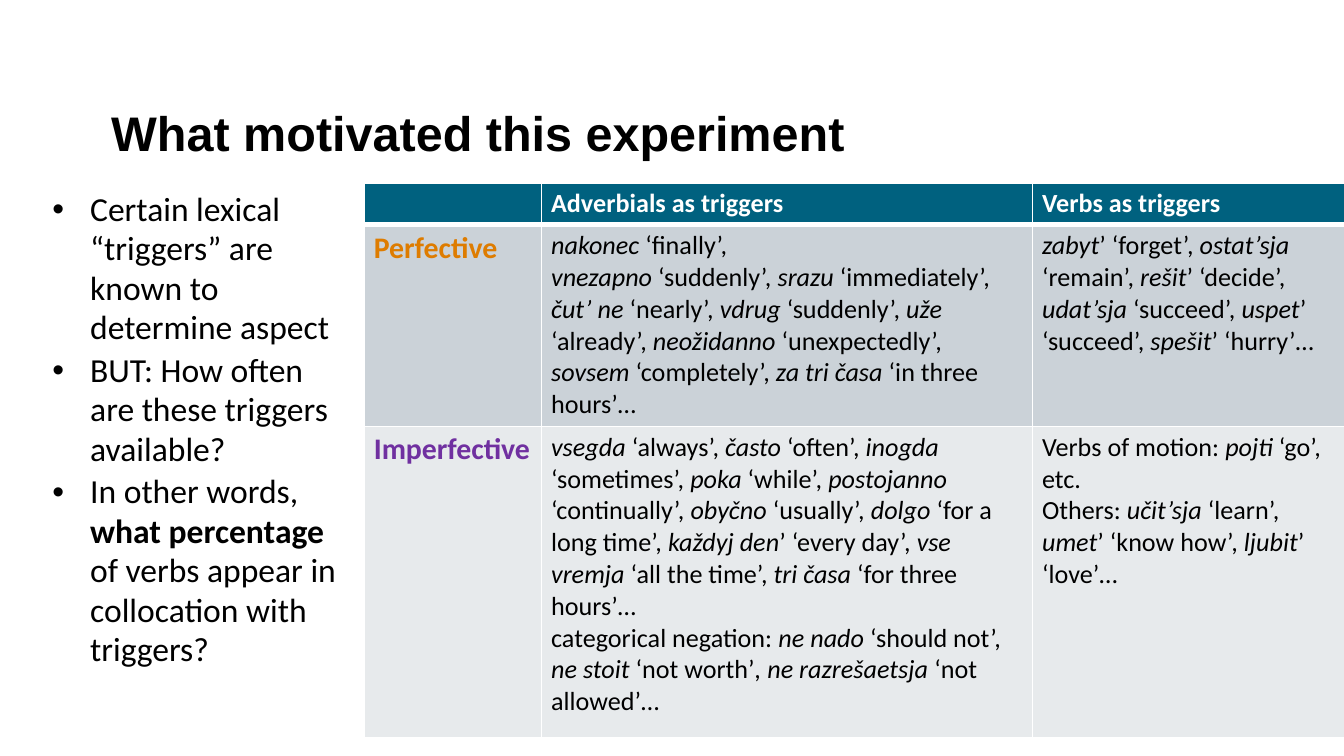
from lxml.etree import SubElement
from pptx import Presentation
from pptx.dml.color import RGBColor
from pptx.enum.text import MSO_ANCHOR
from pptx.oxml.ns import qn
from pptx.util import Pt

BLACK, WHITE = "000000", "FFFFFF"
HEADER_FILL = "00617F"
COLUMN_WIDTHS = [95, 263, 167]
ROW_HEIGHTS = [22, 108, 167]

# In all texts, *...* marks italics and _..._ marks bold
POINTS = [
    "Certain lexical “triggers” are known to determine aspect",
    "BUT: How often are these triggers available?",
    "In other words, _what percentage_ of verbs appear in collocation with triggers?",
]
HEADERS = ["", "Adverbials as triggers", "Verbs as triggers"]
# Aspect, its colour, row fill, adverbials, verbs
ASPECTS = [
    ("Perfective", "DE7C00", "CBD2D8",
     ["*nakonec *‘finally’,",
      "*vnezapno *‘suddenly’, *srazu *‘immediately’, *čut’ ne *‘nearly’, "
      "*vdrug *‘suddenly’, *uže *‘already’, *neožidanno *‘unexpectedly’, "
      "*sovsem *‘completely’, *za tri časa *‘in three hours’…"],
     ["*zabyt*’ ‘forget’, *ostat’sja *‘remain’, *rešit*’ ‘decide’, "
      "*udat’sja *‘succeed’, *uspet*’ ‘succeed’, *spešit*’ ‘hurry’…"]),
    ("Imperfective", "7030A0", "E7EAEC",
     ["*vsegda *‘always’, *často *‘often’, *inogda *‘sometimes’, "
      "*poka *‘while’, *postojanno *‘continually’, *obyčno *‘usually’, "
      "*dolgo *‘for a long time’, *každyj den*’ ‘every day’, "
      "*vse vremja *‘all the time’, *tri časa *‘for three hours’…",
      "categorical negation: *ne nado *‘should not’, *ne stoit *‘not worth’"
      "*, ne razrešaetsja *‘not allowed’…"],
     ["Verbs of motion: *pojti *‘go’, etc.",
      "Others: *učit’sja *‘learn’, *umet*’ ‘know how’, *ljubit*’ ‘love’…"]),
]


def color(value):
    return RGBColor.from_string(value)


def add_spans(para, text, size, tint=BLACK, bold=False, font="Calibri"):
    """Add the text run by run, switching style at each mark."""
    for i, italic_part in enumerate(text.split("*")):
        for j, part in enumerate(italic_part.split("_")):
            if not part:
                continue
            span = para.add_run()
            span.text = part
            span.font.name = font
            span.font.size = Pt(size)
            span.font.color.rgb = color(tint)
            span.font.italic = i % 2 == 1
            span.font.bold = bold or j % 2 == 1


def add_frame(page, left, top, width, height):
    frame = page.shapes.add_textbox(Pt(left), Pt(top), Pt(width), Pt(height)).text_frame
    frame.word_wrap = True
    return frame


def next_para(frame, index):
    return frame.add_paragraph() if index else frame.paragraphs[0]


def add_title(page, left, top, width, height):
    frame = add_frame(page, left, top, width, height)
    frame.vertical_anchor = MSO_ANCHOR.BOTTOM
    add_spans(frame.paragraphs[0], "What motivated this experiment", 26,
              bold=True, font="Arial")


def add_points(page, left, top, width, height):
    frame = add_frame(page, left, top, width, height)
    for index, text in enumerate(POINTS):
        para = next_para(frame, index)
        props = para._p.get_or_add_pPr()
        props.set("marL", str(Pt(20.25)))
        props.set("indent", str(Pt(-20.25)))
        SubElement(props, qn("a:buFont"), typeface="Arial")
        SubElement(props, qn("a:buChar"), char="•")
        para.line_spacing = 0.98
        para.space_before = Pt(0.8 if index else 0)
        para.space_after = Pt(0.8)
        add_spans(para, text, 18)


def set_borders(cell, top, bottom):
    props = cell._tc.get_or_add_tcPr()
    widths = {"a:lnL": 1, "a:lnR": 1, "a:lnT": top, "a:lnB": bottom}
    for index, (tag, width) in enumerate(widths.items()):
        line = SubElement(props, qn(tag), w=str(Pt(width)))
        fill = SubElement(line, qn("a:solidFill"))
        SubElement(fill, qn("a:srgbClr"), val=WHITE)
        props.insert(index, line)


def fill_cell(cell, texts, size, tint, fill, bold, borders):
    cell.margin_left = cell.margin_right = Pt(5.1)
    cell.margin_top = cell.margin_bottom = Pt(2.8)
    cell.fill.solid()
    cell.fill.fore_color.rgb = color(fill)
    set_borders(cell, *borders)
    for index, text in enumerate(texts):
        para = next_para(cell.text_frame, index)
        add_spans(para, text, size, tint, bold)
        if not text:  # keeps the empty cell as low as its row
            SubElement(para._p, qn("a:endParaRPr"), sz=str(size * 100))


def add_triggers(page, left, top):
    table = page.shapes.add_table(
        len(ROW_HEIGHTS), len(COLUMN_WIDTHS), Pt(left), Pt(top),
        Pt(sum(COLUMN_WIDTHS)), Pt(sum(ROW_HEIGHTS))).table
    for column, width in zip(table.columns, COLUMN_WIDTHS):
        column.width = Pt(width)
    for row, height in zip(table.rows, ROW_HEIGHTS):
        row.height = Pt(height)

    # Header row
    for index, text in enumerate(HEADERS):
        fill_cell(table.cell(0, index), [text], 14, WHITE, HEADER_FILL, True, (1, 3))
    # One row for each aspect
    for index, (name, tint, fill, adverbials, verbs) in enumerate(ASPECTS, 1):
        borders = (3 if index == 1 else 1, 1)
        fill_cell(table.cell(index, 0), [name], 16, tint, fill, True, borders)
        fill_cell(table.cell(index, 1), adverbials, 14, BLACK, fill, False, borders)
        fill_cell(table.cell(index, 2), verbs, 14, BLACK, fill, False, borders)


def main():
    deck = Presentation()
    deck.slide_width, deck.slide_height = Pt(720), Pt(405)
    page = deck.slides.add_slide(deck.slide_layouts[6])
    add_title(page, 52.5, 18, 620.5, 72)
    add_triggers(page, 195.2, 98)
    add_points(page, 21, 98, 174, 273)
    deck.save("out.pptx")


if __name__ == "__main__":
    main()
